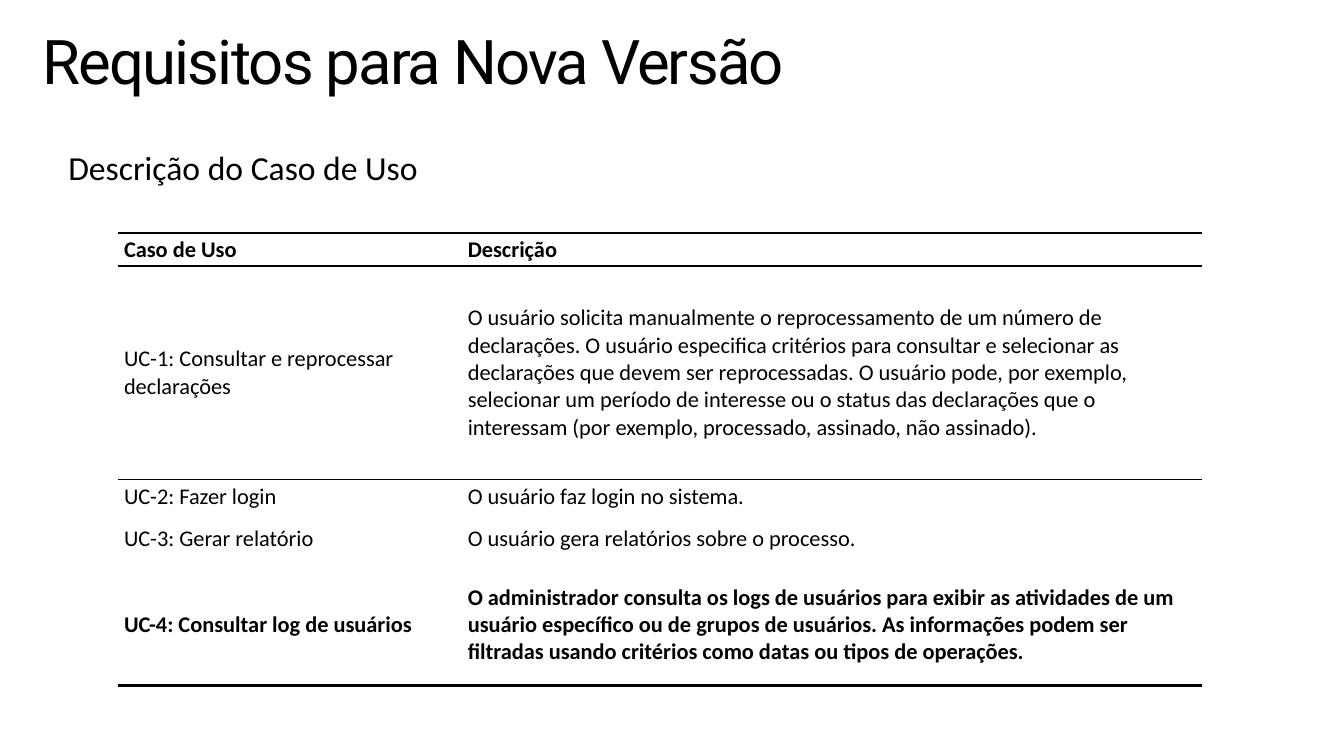
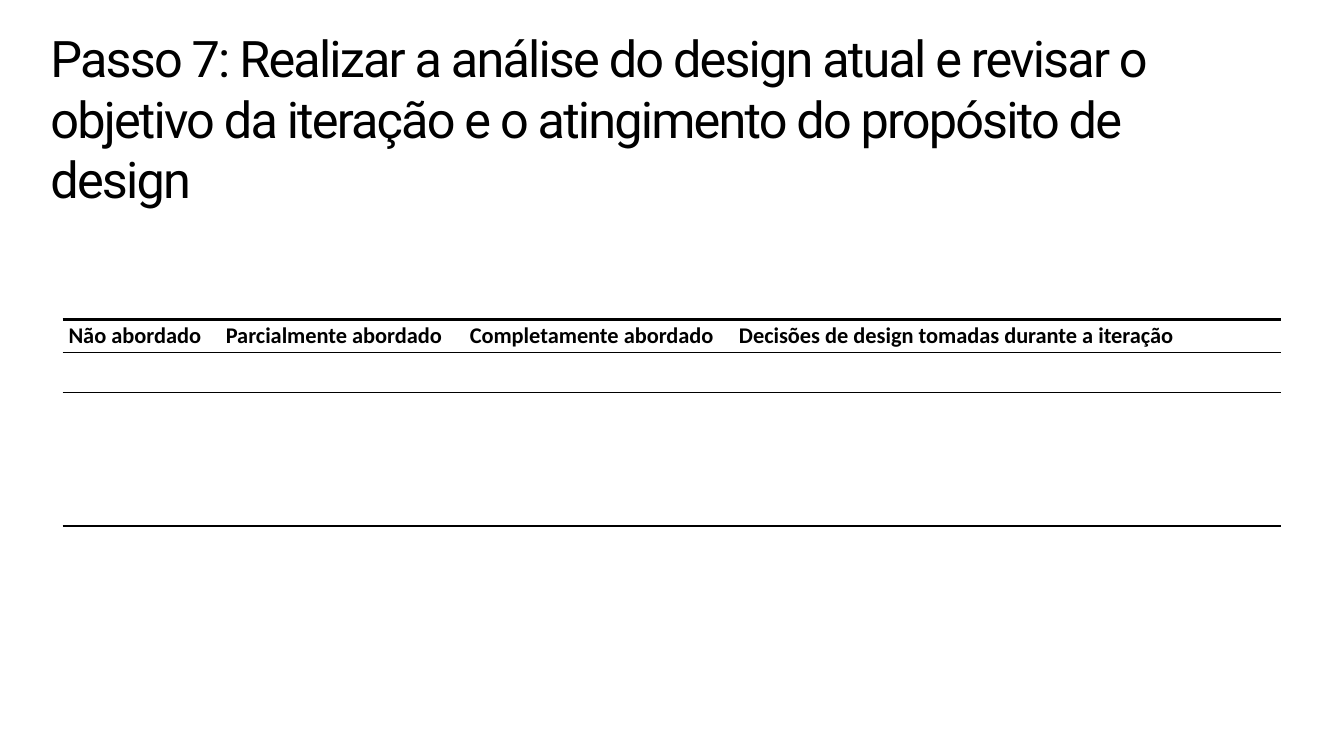
from lxml import etree
from pptx import Presentation
from pptx import util as u
from pptx.dml import color
from pptx.enum import text
from pptx.oxml import ns

BLACK, WHITE = "000000", "FFFFFF"
TITLE_FONT, BODY_FONT = "Roboto", "Calibri"
THICK, MEDIUM, THIN = 2, 1, 0.75

prs = Presentation()
prs.slide_width, prs.slide_height = u.Inches(13.33), u.Inches(7.5)


def rgb(value):
    return color.RGBColor.from_string(value)


def write(tf, content, font, size, bold=False):
    tf.word_wrap = True
    tf.text = content
    p = tf.paragraphs[0]
    for r in p.runs:
        r.font.name, r.font.size, r.font.bold = font, u.Pt(size), bold
        r.font.color.rgb = rgb(BLACK)
    return p


slides = [
    {
        "title": "Requisitos para Nova Versão",
        "title_box": (0.42, 0.21, 8.38, 0.76),
        "title_size": 44,
        "subtitle": "Descrição do Caso de Uso",
        "table_at": (1.17, 2.31),
        "cols": [3.41, 7.34],
        "heights": [0.33, 2.12, 0.33, 0.51, 1.2],
        "bold_rows": [0, 4],
        "rows": [
            ["Caso de Uso", "Descrição"],
            ["UC-1: Consultar e reprocessar declarações",
             "O usuário solicita manualmente o reprocessamento de um número de "
             "declarações. O usuário especifica critérios para consultar e selecionar as "
             "declarações que devem ser reprocessadas. O usuário pode, por exemplo, "
             "selecionar um período de interesse ou o status das declarações que o "
             "interessam (por exemplo, processado, assinado, não assinado)."],
            ["UC-2: Fazer login", "O usuário faz login no sistema."],
            ["UC-3: Gerar relatório", "O usuário gera relatórios sobre o processo."],
            ["UC-4: Consultar log de usuários",
             "O administrador consulta os logs de usuários para exibir as atividades de um "
             "usuário específico ou de grupos de usuários. As informações podem ser "
             "filtradas usando critérios como datas ou tipos de operações."],
        ],
    },
    {
        "title": "Passo 7: Realizar a análise do design atual e revisar o objetivo da "
                 "iteração e o atingimento do propósito de design",
        "title_box": (0.5, 0.25, 11.25, 1.83),
        "title_size": 36,
        "subtitle": None,
        "table_at": (0.62, 3.17),
        "cols": [1.56, 2.42, 2.67, 5.44],
        "heights": [0.32, 0.4, 0.44, 0.44, 0.44],
        "bold_rows": [0],
        "rows": [["Não abordado", "Parcialmente abordado", "Completamente abordado",
                  "Decisões de design tomadas durante a iteração"]] + [[""] * 4] * 4,
    },
]

for data in slides:
    s = prs.slides.add_slide(prs.slide_layouts[6])

    sp = s.shapes.add_textbox(*[u.Inches(v) for v in data["title_box"]])
    tf = sp.text_frame
    tf.margin_left = tf.margin_right = tf.margin_bottom = 0
    tf.margin_top = u.Inches(0.02)
    p = write(tf, data["title"], TITLE_FONT, data["title_size"])
    p.runs[0]._r.get_or_add_rPr().set("spc", "-130")

    if data["subtitle"]:
        sp = s.shapes.add_textbox(u.Inches(0.58), u.Inches(1.41), u.Inches(4.63), u.Inches(0.5))
        write(sp.text_frame, data["subtitle"], BODY_FONT, 24)

    rows, cols, heights = data["rows"], data["cols"], data["heights"]
    left, top = data["table_at"]
    table = s.shapes.add_table(len(rows), len(cols), u.Inches(left), u.Inches(top),
                               u.Inches(sum(cols)), u.Inches(sum(heights))).table
    table.first_row = table.horz_banding = False
    for column, width in zip(table.columns, cols):
        column.width = u.Inches(width)

    rules = [THICK, MEDIUM, THIN] + [0] * (len(rows) - 3) + [THICK]
    for i, row in enumerate(rows):
        table.rows[i].height = u.Inches(heights[i])
        for j, content in enumerate(row):
            cell = table.cell(i, j)
            cell.margin_left = cell.margin_right = u.Inches(0.06)
            cell.margin_top = cell.margin_bottom = u.Inches(0.03)
            cell.vertical_anchor = text.MSO_ANCHOR.MIDDLE
            write(cell.text_frame, content, BODY_FONT, 16, i in data["bold_rows"])
            tcPr = cell._tc.get_or_add_tcPr()
            for side, weight in zip("LRTB", (0, 0, rules[i], rules[i + 1])):
                ln = etree.SubElement(tcPr, ns.qn("a:ln" + side), w=str(u.Pt(weight)))
                if weight:
                    fill = etree.SubElement(ln, ns.qn("a:solidFill"))
                    etree.SubElement(fill, ns.qn("a:srgbClr"), val=BLACK)
                else:
                    etree.SubElement(ln, ns.qn("a:noFill"))
            cell.fill.solid()
            cell.fill.fore_color.rgb = rgb(WHITE)

prs.save("out.pptx")
